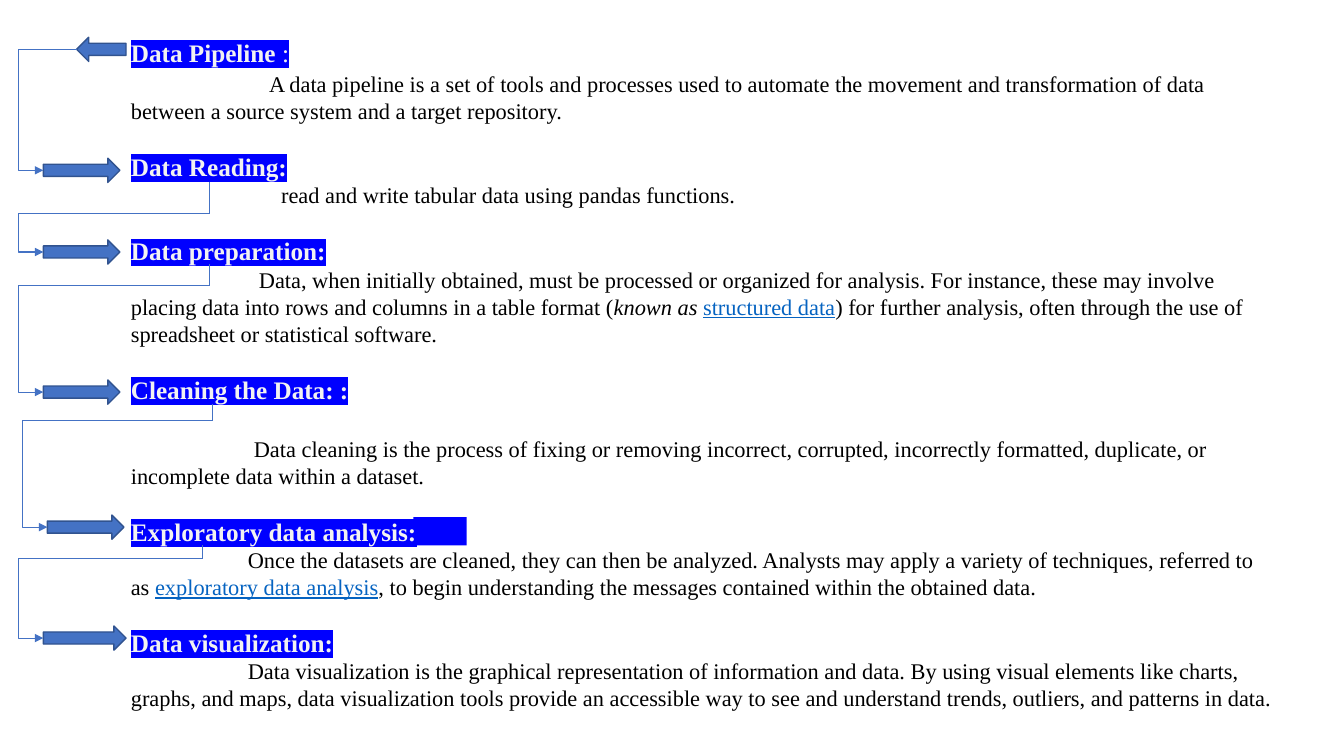
from dataclasses import dataclass
from lxml.etree import SubElement
from pptx import Presentation
from pptx.dml.color import RGBColor
from pptx.enum.shapes import MSO_CONNECTOR, MSO_SHAPE
from pptx.oxml.ns import qn
from pptx.util import Inches, Pt


@dataclass(frozen=True)
class Theme:
    font: str = "Times New Roman"
    heading_size: int = 18
    body_size: int = 16
    section_gap: float = 19.5
    heading: str = "F2F2F2"
    highlight: str = "0000FF"
    body: str = "000000"
    link: str = "0563C1"
    arrow: str = "4472C4"
    arrow_line: str = "31538F"


THEME = Theme()
PLAIN, ITALIC, LINK = "plain", "italic", "link"

SECTIONS = [
    (["Data Pipeline ", ":"], 1.37, 2, [[
        ("A data pipeline is\u00a0a set of tools and processes used to automate the movement and "
         "transformation of data between a source system and a target repository.", PLAIN)]]),
    (["Data Reading:"], 1.49, 0, [[
        ("read and write tabular data using pandas functions.", PLAIN)]]),
    (["Data preparation:"], 1.27, 0, [[
        ("Data, when initially obtained, must be processed or organized for analysis. For instance, "
         "these may involve placing data into rows and columns in a table format (", PLAIN),
        ("known as\u00a0", ITALIC),
        ("structured data", LINK),
        (") for further analysis, often through the use of spreadsheet or statistical software.", PLAIN)]]),
    (["Cleaning the Data: :"], 1.22, 22, [
        [("Data cleaning is the process of fixing or removing incorrect, corrupted, incorrectly "
          "formatted, duplicate, or", PLAIN)],
        [("incomplete data within a dataset.", PLAIN)]]),
    (["Exploratory data analysis:"], 1.16, 0, [[
        ("Once the datasets are cleaned, they can then be analyzed. Analysts may apply a variety of "
         "techniques, referred to as\u00a0", PLAIN),
        ("exploratory data analysis", LINK),
        (", to begin understanding the messages contained within the obtained data.", PLAIN)]]),
    (["Data visualization:"], 1.16, 0, [[
        ("Data visualization is\u00a0the graphical representation of information and data. By using "
         "visual elements like charts, graphs, and maps, data visualization tools provide an "
         "accessible way to see and understand trends, outliers, and patterns in data.", PLAIN)]]),
]

ARROWS = [
    (MSO_SHAPE.LEFT_ARROW, 0.76, 0.37, 0.49),
    (MSO_SHAPE.RIGHT_ARROW, 0.43, 1.57, 0.76),
    (MSO_SHAPE.RIGHT_ARROW, 0.43, 2.38, 0.76),
    (MSO_SHAPE.RIGHT_ARROW, 0.43, 3.77, 0.76),
    (MSO_SHAPE.RIGHT_ARROW, 0.47, 5.11, 0.76),
    (MSO_SHAPE.RIGHT_ARROW, 0.43, 6.21, 0.82),
]
ARROW_HEIGHT = 0.24
ELBOW_REACH = 0.25

ELBOWS = [
    (0.76, 0.49, 0.43, 1.69),
    (2.08, 2.12, 0.43, 2.5),
    (2.08, 2.83, 0.43, 3.89),
    (2.11, 4.17, 0.47, 5.23),
    (2.01, 5.54, 0.43, 6.33),
]
STEM_TOPS = [1.81, 2.62, 4.01, 5.41]


def color(value):
    return RGBColor.from_string(value)


def set_font(para, size, value):
    para.font.name = THEME.font
    para.font.size = Pt(size)
    para.font.color.rgb = color(value)


def add_heading(para, parts, gap):
    set_font(para, THEME.heading_size, THEME.heading)
    para.space_before = Pt(gap)
    for index, text in enumerate(parts):
        span = para.add_run()
        span.text = text
        span.font.bold = index == 0
        span.font.color.rgb = color(THEME.heading)
        mark = SubElement(span._r.get_or_add_rPr(), qn("a:highlight"))
        SubElement(mark, qn("a:srgbClr"), val=THEME.highlight)


def add_body(para, spans, indent, gap):
    set_font(para, THEME.body_size, THEME.body)
    para.space_before = Pt(gap)
    settings = para._p.get_or_add_pPr()
    settings.set("marL", "0")
    settings.set("indent", str(Inches(indent)))
    for text, style in spans:
        span = para.add_run()
        span.text = text
        if style == ITALIC:
            span.font.italic = True
        if style == LINK:
            span.font.underline = True
            span.font.color.rgb = color(THEME.link)


def add_sections(page):
    box = page.shapes.add_textbox(Inches(1.2), Inches(0.32), Inches(11.56), Inches(6.9))
    frame = box.text_frame
    frame.word_wrap = True
    for number, (heading, indent, gap, bodies) in enumerate(SECTIONS):
        para = frame.add_paragraph() if number else frame.paragraphs[0]
        add_heading(para, heading, THEME.section_gap if number else 0)
        for row, spans in enumerate(bodies):
            first = row == 0
            add_body(frame.add_paragraph(), spans, indent if first else 0, gap if first else 0)


def add_shape(page, kind, left, top, width, height, fill):
    shape = page.shapes.add_shape(kind, Inches(left), Inches(top), Inches(width), Inches(height))
    shape.shadow.inherit = False
    shape.fill.solid()
    shape.fill.fore_color.rgb = color(fill)
    return shape


def add_highlight_bar(page, left, top, width, height):
    bar = add_shape(page, MSO_SHAPE.RECTANGLE, left, top, width, height, THEME.highlight)
    bar.line.fill.background()


def add_arrow(page, kind, left, top, width):
    arrow = add_shape(page, kind, left, top, width, ARROW_HEIGHT, THEME.arrow)
    arrow.line.color.rgb = color(THEME.arrow_line)
    arrow.line.width = Pt(1)


def add_line(page, kind, x1, y1, x2, y2):
    line = page.shapes.add_connector(kind, Inches(x1), Inches(y1), Inches(x2), Inches(y2))
    line.line.color.rgb = color(THEME.arrow)
    line.line.width = Pt(0.75)
    SubElement(line._element.spPr, qn("a:effectLst"))
    return line


def add_elbow(page, x1, y1, x2, y2):
    elbow = add_line(page, MSO_CONNECTOR.ELBOW, x1, y1, x2, y2)
    SubElement(elbow.line._get_or_add_ln(), qn("a:tailEnd"), type="triangle")
    bend = round((x1 - x2 + ELBOW_REACH) / (x1 - x2) * 100000)
    geometry = elbow._element.spPr.find(qn("a:prstGeom"))
    SubElement(geometry.find(qn("a:avLst")), qn("a:gd"), name="adj1", fmla=f"val {bend}")


def main():
    deck = Presentation()
    deck.slide_width, deck.slide_height = Inches(13.33), Inches(7.5)
    page = deck.slides.add_slide(deck.slide_layouts[6])
    add_highlight_bar(page, 4.1, 5.13, 0.53, 0.28)
    add_sections(page)
    for arrow in ARROWS:
        add_arrow(page, *arrow)
    for elbow in ELBOWS:
        add_elbow(page, *elbow)
    for (x, y, *_), top in zip(ELBOWS[1:], STEM_TOPS):
        add_line(page, MSO_CONNECTOR.STRAIGHT, x, y, x, top)
    deck.save("out.pptx")


if __name__ == "__main__":
    main()
